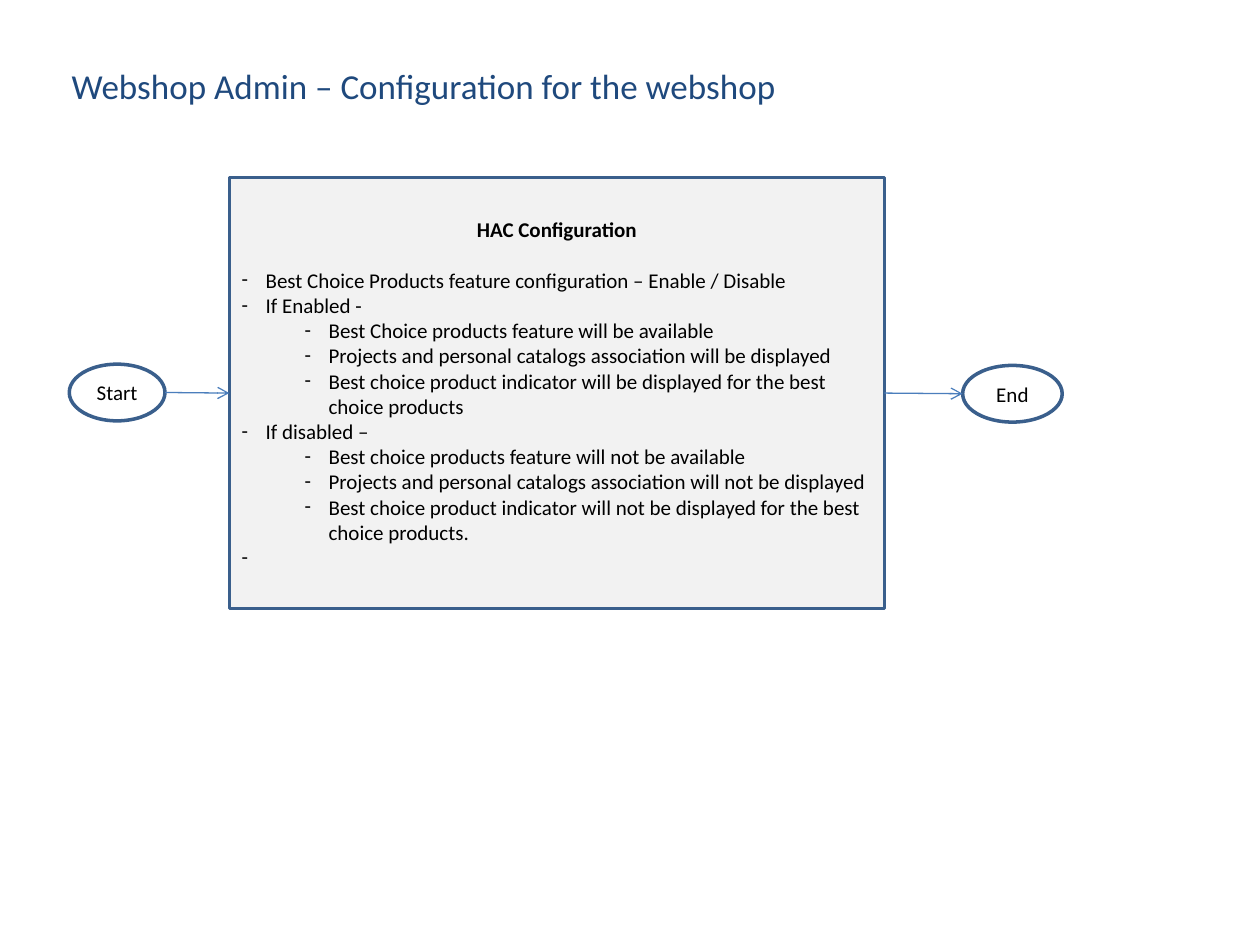
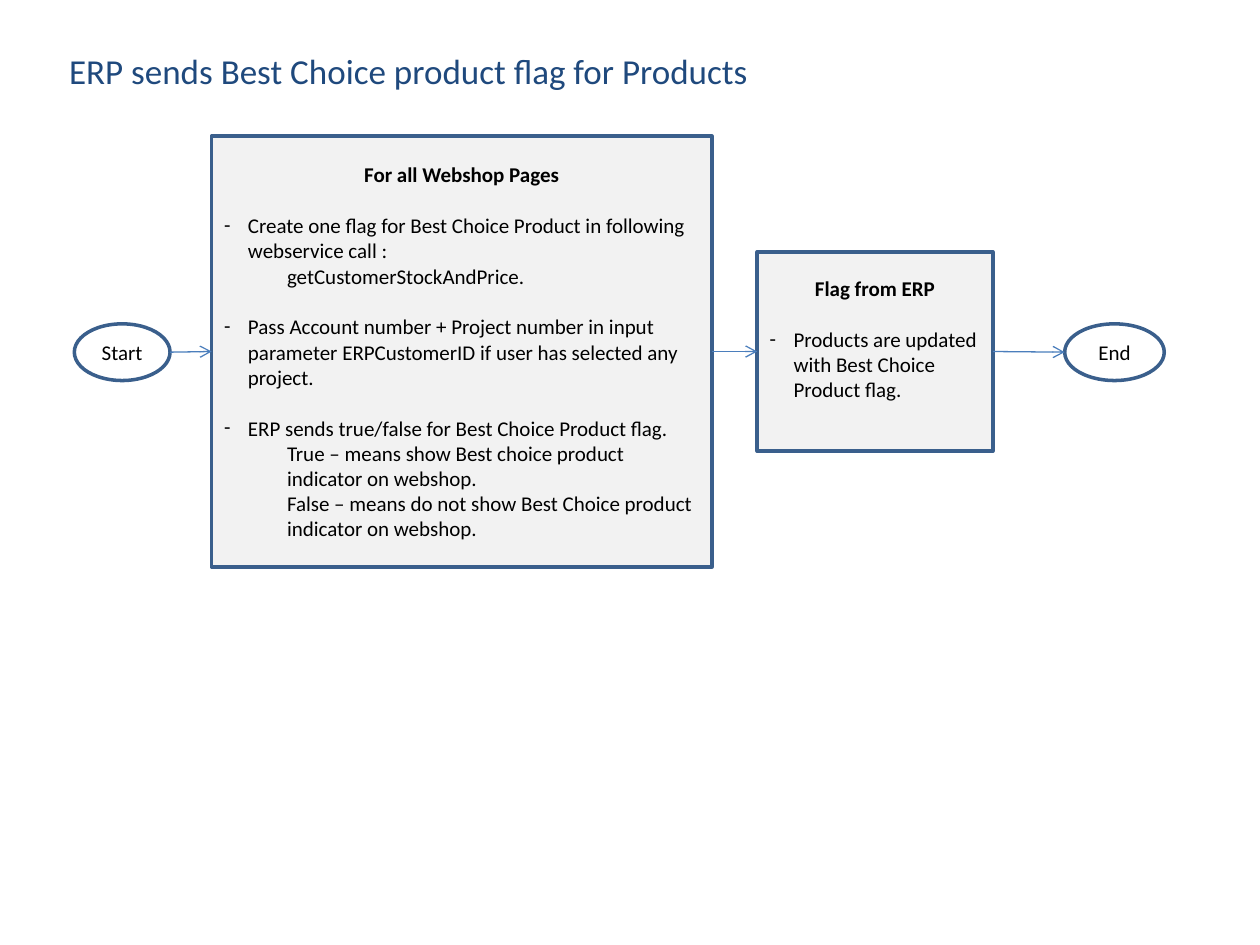
"""Build two flow slides about the Best Choice product feature."""
import pptx
import pptx.dml.color
import pptx.enum.shapes
import pptx.enum.text
import pptx.oxml.ns
import pptx.util
from lxml import etree

Inches = pptx.util.Inches
Pt = pptx.util.Pt
RGB = pptx.dml.color.RGBColor
Shape = pptx.enum.shapes.MSO_SHAPE
Align = pptx.enum.text.PP_ALIGN
qn = pptx.oxml.ns.qn

NAVY = RGB(0x1F, 0x49, 0x7D)
EDGE = RGB(0x3A, 0x5F, 0x8C)
ARROW = RGB(0x4B, 0x7E, 0xBC)
PALE = RGB(0xF2, 0xF2, 0xF2)
BLACK = RGB(0, 0, 0)
ITEM, SUB, NOTE = "item", "sub", "note"
INDENT = {ITEM: 0.19, SUB: 0.69, NOTE: 0.5}
HANG = 0.19
LINE = 14.6


class Deck:
    def __init__(self):
        self.prs = pptx.Presentation()
        self.prs.slide_width = Inches(10)
        self.prs.slide_height = Inches(7.5)
        self.slide = None

    def page(self, title, at):
        self.slide = self.prs.slides.add_slide(self.prs.slide_layouts[6])
        frame = self.slide.shapes.add_textbox(*map(Inches, at)).text_frame
        frame.word_wrap = True
        frame.auto_size = pptx.enum.text.MSO_AUTO_SIZE.SHAPE_TO_FIT_TEXT
        self.label(frame.paragraphs[0], title, 20, NAVY)

    def label(self, para, text, size=12, color=BLACK, bold=False, align=Align.LEFT):
        para.text = text
        para.alignment = align
        font = para.font
        font.name, font.size, font.bold = "Calibri", Pt(size), bold
        font.color.rgb = color

    def shape(self, kind, at, fill=None):
        shape = self.slide.shapes.add_shape(kind, *map(Inches, at))
        shape.shadow.inherit = False
        if fill is None:
            shape.fill.background()
        else:
            shape.fill.solid()
            shape.fill.fore_color.rgb = fill
        shape.line.color.rgb = EDGE
        shape.line.width = Pt(2)
        frame = shape.text_frame
        frame.word_wrap = True
        frame.vertical_anchor = pptx.enum.text.MSO_ANCHOR.MIDDLE
        return shape

    def oval(self, text, left, top, width):
        shape = self.shape(Shape.OVAL, (left, top, width, 0.45))
        self.label(shape.text_frame.paragraphs[0], text, align=Align.CENTER)
        return shape

    def box(self, head, at, items, loose=False, foot=0.05):
        shape = self.shape(Shape.FLOWCHART_PROCESS, at, PALE)
        frame = shape.text_frame
        frame.margin_bottom = Inches(foot)
        self.label(frame.paragraphs[0], head, bold=True, align=Align.CENTER)
        for i, (kind, text) in enumerate(items):
            para = frame.add_paragraph()
            if i == 0 or loose and kind == ITEM:
                para.space_before = Pt(LINE)
            self.indent(para, kind)
            self.label(para, text)
        return shape

    def indent(self, para, kind):
        props = para._p.get_or_add_pPr()
        props.set("marL", str(Inches(INDENT[kind])))
        if kind == NOTE:
            props.set("indent", "0")
            return
        props.set("indent", str(-Inches(HANG)))
        etree.SubElement(props, qn("a:buFont")).set("typeface", "Calibri")
        etree.SubElement(props, qn("a:buChar")).set("char", "-")

    def link(self, start, end):
        line = self.slide.shapes.add_connector(
            pptx.enum.shapes.MSO_CONNECTOR.STRAIGHT,
            start.left + start.width, start.top + start.height // 2,
            end.left, end.top + end.height // 2)
        line.line.color.rgb = ARROW
        line.line.width = Pt(0.75)
        edge = line._element.spPr.find(qn("a:ln"))
        etree.SubElement(edge, qn("a:tailEnd")).set("type", "arrow")
        etree.SubElement(line._element.spPr, qn("a:effectLst"))

    def chain(self, *steps):
        for start, end in zip(steps, steps[1:]):
            self.link(start, end)


deck = Deck()

deck.page("Webshop Admin – Configuration for the webshop", (0.47, 0.46, 8.84, 0.44))
deck.chain(
    deck.oval("Start", 0.55, 2.89, 0.76),
    deck.box("HAC Configuration", (1.82, 1.41, 5.2, 3.42), [
        (ITEM, "Best Choice Products feature configuration – Enable / Disable"),
        (ITEM, "If Enabled -"),
        (SUB, "Best Choice products feature will be available"),
        (SUB, "Projects and personal catalogs association will be displayed"),
        (SUB, "Best choice product indicator will be displayed for the best choice products"),
        (ITEM, "If disabled –"),
        (SUB, "Best choice products feature will not be available"),
        (SUB, "Projects and personal catalogs association will not be displayed"),
        (SUB, "Best choice product indicator will not be displayed for the best choice products."),
        (ITEM, " "),
    ]),
    deck.oval("End", 7.64, 2.9, 0.79))

deck.page("ERP sends Best Choice product flag for Products", (0.45, 0.34, 5.81, 0.44))
deck.chain(
    deck.oval("Start", 0.59, 2.57, 0.76),
    deck.box("For all Webshop Pages", (1.68, 1.08, 3.97, 3.42), [
        (ITEM, "Create one flag for Best Choice Product in following webservice call :"),
        (NOTE, "getCustomerStockAndPrice."),
        (ITEM, "Pass Account number + Project number in input parameter ERPCustomerID "
               "if user has selected any project."),
        (ITEM, "ERP sends true/false for Best Choice Product flag."),
        (NOTE, "True – means show Best choice product indicator on webshop."),
        (NOTE, "False – means do not show Best Choice product indicator on webshop."),
    ], loose=True),
    deck.box("Flag from ERP", (6.01, 2, 1.87, 1.58), [
        (ITEM, "Products are updated with Best Choice Product flag."),
    ], foot=0.25),
    deck.oval("End", 8.45, 2.57, 0.79))

deck.prs.save("out.pptx")
